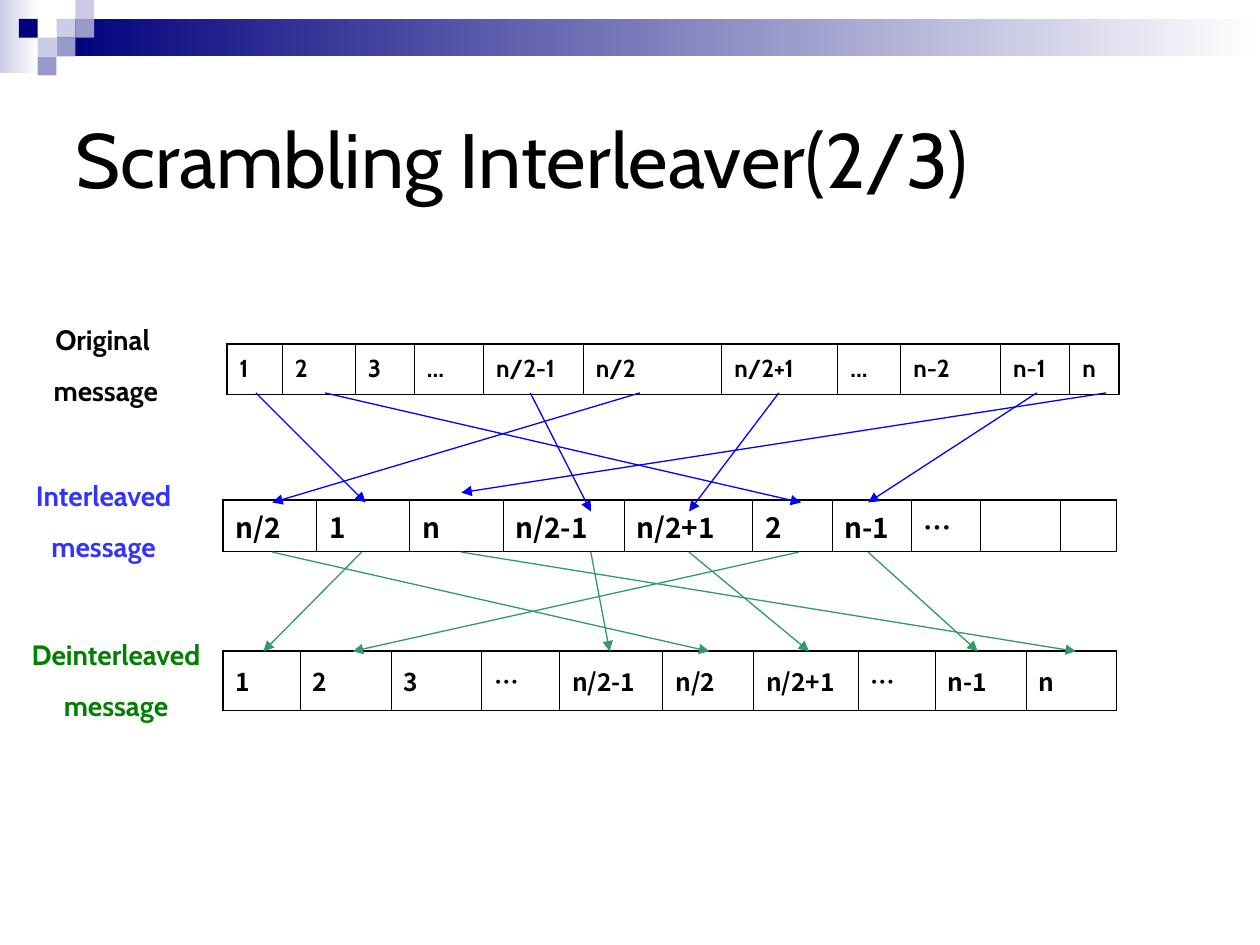
from dataclasses import dataclass

from lxml.etree import SubElement
from pptx import Presentation
from pptx.dml.color import RGBColor
from pptx.enum.shapes import MSO_CONNECTOR, MSO_SHAPE
from pptx.enum.text import MSO_ANCHOR, MSO_AUTO_SIZE, PP_ALIGN
from pptx.oxml.ns import qn
from pptx.util import Cm, Pt


@dataclass(frozen=True)
class Theme:
    black: str = "000000"
    white: str = "FFFFFF"
    navy: str = "00007D"
    lavender: str = "CCCCE6"
    violet: str = "9999CC"
    interleaved: str = "3333FF"
    deinterleaved: str = "008000"
    interleave_arrow: str = "0000FF"
    deinterleave_arrow: str = "339966"
    latin_font: str = "Cabin"
    korean_font: str = "Noto Sans CJK KR"
    title_size: float = 44
    large_size: float = 16
    small_size: float = 14
    label_gap: float = 10
    arrow_width: float = 0.75
    outer_border: float = 1.08
    inner_border: float = 0.45


THEME = Theme()
GRID = 0.38  # side of one corner square, in cm


@dataclass(frozen=True)
class Square:
    column: int
    row: int
    color: str


@dataclass(frozen=True)
class Message:
    left: float
    top: float
    height: float
    font: str
    size: float
    cells: tuple[tuple[str, float], ...]  # text and column width


@dataclass(frozen=True)
class Label:
    left: float
    top: float
    width: float
    lines: tuple[str, str]
    color: str


@dataclass(frozen=True)
class Arrow:
    start: float
    end: float
    end_top: float


SQUARES = (
    Square(3, 1, THEME.lavender), Square(4, 0, THEME.lavender),
    Square(4, 1, THEME.violet), Square(2, 2, THEME.lavender),
    Square(1, 1, THEME.navy), Square(3, 2, THEME.violet),
    Square(2, 3, THEME.violet),
)

MESSAGES = (
    Message(4.57, 6.93, 1.02, THEME.latin_font, THEME.small_size, (
        ("1", 1.12), ("2", 1.47), ("3", 1.19), ("…", 1.4), ("n/2-1", 2.01), ("n/2", 2.79),
        ("n/2+1", 2.34), ("…", 1.27), ("n-2", 2.01), ("n-1", 1.4), ("n", 0.99))),
    Message(4.5, 10.08, 1.04, THEME.korean_font, THEME.large_size, (
        ("n/2", 1.88), ("1", 1.88), ("n", 1.88), ("n/2-1", 2.44), ("n/2+1", 2.59),
        ("2", 1.6), ("n-1", 1.6), ("…", 1.4), ("", 1.6), ("", 1.14))),
    Message(4.5, 13.13, 1.19, THEME.korean_font, THEME.small_size, (
        ("1", 1.55), ("2", 1.83), ("3", 1.83), ("…", 1.57), ("n/2-1", 2.08), ("n/2", 1.83),
        ("n/2+1", 2.11), ("…", 1.55), ("n-1", 1.83), ("n", 1.83))),
)

LABELS = (
    Label(0.51, 6.38, 3.12, ("Original", " message"), THEME.black),
    Label(0.2, 9.53, 3.78, ("Interleaved", "message"), THEME.interleaved),
    Label(0.13, 12.73, 4.42, ("Deinterleaved", "message"), THEME.deinterleaved),
)

INTERLEAVE_TOP = 7.92
INTERLEAVE_ARROWS = (
    Arrow(12.9, 5.49, 10.13), Arrow(5.16, 7.37, 10.13), Arrow(6.55, 16.15, 10.13),
    Arrow(10.69, 11.91, 10.31), Arrow(15.7, 13.89, 10.31), Arrow(20.9, 17.5, 10.13),
    Arrow(22.3, 9.3, 9.93),
)

DEINTERLEAVE_TOP = 11.13
DEINTERLEAVE_ARROWS = tuple(Arrow(start, end, 13.13) for start, end in (
    (5.49, 14.3), (7.29, 5.31), (9.3, 21.69), (11.91, 12.29),
    (13.89, 16.31), (16.1, 7.11), (17.5, 19.71),
))


def add_run(paragraph, text: str, font: str, size: float, color: str, bold: bool = True) -> None:
    run = paragraph.add_run()
    run.text = text
    run.font.name = font
    run.font.size = Pt(size)
    run.font.bold = bold
    run.font.color.rgb = RGBColor.from_string(color)
    SubElement(run.font._element, qn("a:ea"), typeface=font)


def add_rectangle(slide, left: float, top: float, width: float, height: float,
                  color: str, fade: bool = False) -> None:
    """Add a borderless rectangle, optionally fading to white on the right."""
    shape = slide.shapes.add_shape(MSO_SHAPE.RECTANGLE, Cm(left), Cm(top), Cm(width), Cm(height))
    shape.shadow.inherit = False
    shape.line.fill.background()
    if fade:
        shape.fill.gradient()
        shape.fill.gradient_angle = 0
        for stop, stop_color in zip(shape.fill.gradient_stops, (color, THEME.white)):
            stop.color.rgb = RGBColor.from_string(stop_color)
    else:
        shape.fill.solid()
        shape.fill.fore_color.rgb = RGBColor.from_string(color)


def add_title(slide, text: str) -> None:
    frame = slide.shapes.add_textbox(Cm(1.27), Cm(1.27), Cm(22.86), Cm(3.81)).text_frame
    frame.word_wrap = True
    frame.vertical_anchor = MSO_ANCHOR.MIDDLE
    add_run(frame.paragraphs[0], text, THEME.latin_font, THEME.title_size, THEME.black, bold=False)


def add_label(slide, label: Label) -> None:
    frame = slide.shapes.add_textbox(
        Cm(label.left), Cm(label.top), Cm(label.width), Cm(1.96)).text_frame
    frame.word_wrap = False
    frame.auto_size = MSO_AUTO_SIZE.SHAPE_TO_FIT_TEXT
    first, second = frame.paragraphs[0], frame.add_paragraph()
    second.space_before = Pt(THEME.label_gap)
    for paragraph, line in zip((first, second), label.lines):
        paragraph.alignment = PP_ALIGN.CENTER
        add_run(paragraph, line, THEME.latin_font, THEME.large_size, label.color)


def set_borders(cell, is_first: bool, is_last: bool) -> None:
    outer, inner = THEME.outer_border, THEME.inner_border
    widths = {"a:lnL": outer if is_first else inner, "a:lnR": outer if is_last else inner,
              "a:lnT": outer, "a:lnB": outer}
    properties = cell._tc.get_or_add_tcPr()
    for tag, width in widths.items():
        border = SubElement(properties, qn(tag), w=str(int(Pt(width))))
        fill = SubElement(border, qn("a:solidFill"))
        SubElement(fill, qn("a:srgbClr"), val=THEME.black)


def add_message(slide, message: Message) -> None:
    count = len(message.cells)
    total = sum(width for _, width in message.cells)
    table = slide.shapes.add_table(1, count, Cm(message.left), Cm(message.top),
                                   Cm(total), Cm(message.height)).table
    table.first_row = table.horz_banding = False
    for index, (text, width) in enumerate(message.cells):
        table.columns[index].width = Cm(width)
        cell = table.cell(0, index)
        cell.vertical_anchor = MSO_ANCHOR.MIDDLE
        set_borders(cell, index == 0, index == count - 1)
        cell.fill.background()
        if text:
            add_run(cell.text_frame.paragraphs[0], text, message.font, message.size, THEME.black)


def add_arrow(slide, arrow: Arrow, top: float, color: str) -> None:
    connector = slide.shapes.add_connector(
        MSO_CONNECTOR.STRAIGHT, Cm(arrow.start), Cm(top), Cm(arrow.end), Cm(arrow.end_top))
    connector.line.width = Pt(THEME.arrow_width)
    connector.line.color.rgb = RGBColor.from_string(color)
    SubElement(connector.line._get_or_add_ln(), qn("a:tailEnd"), type="triangle")
    SubElement(connector._element.spPr, qn("a:effectLst"))


def main() -> None:
    presentation = Presentation()
    presentation.slide_width, presentation.slide_height = Cm(25.4), Cm(19.05)
    slide = presentation.slides.add_slide(presentation.slide_layouts[6])

    add_rectangle(slide, 0, 0, 0.79, 1.47, THEME.lavender, fade=True)
    add_rectangle(slide, 3 * GRID, GRID, 25.4 - 3 * GRID, 2 * GRID, THEME.navy, fade=True)
    for square in SQUARES:
        add_rectangle(slide, square.column * GRID, square.row * GRID, GRID, GRID, square.color)

    add_title(slide, "Scrambling Interleaver(2/3)")
    for message, label in zip(MESSAGES, LABELS):
        add_message(slide, message)
        add_label(slide, label)
    for arrow in INTERLEAVE_ARROWS:
        add_arrow(slide, arrow, INTERLEAVE_TOP, THEME.interleave_arrow)
    for arrow in DEINTERLEAVE_ARROWS:
        add_arrow(slide, arrow, DEINTERLEAVE_TOP, THEME.deinterleave_arrow)

    presentation.save("out.pptx")


if __name__ == "__main__":
    main()
